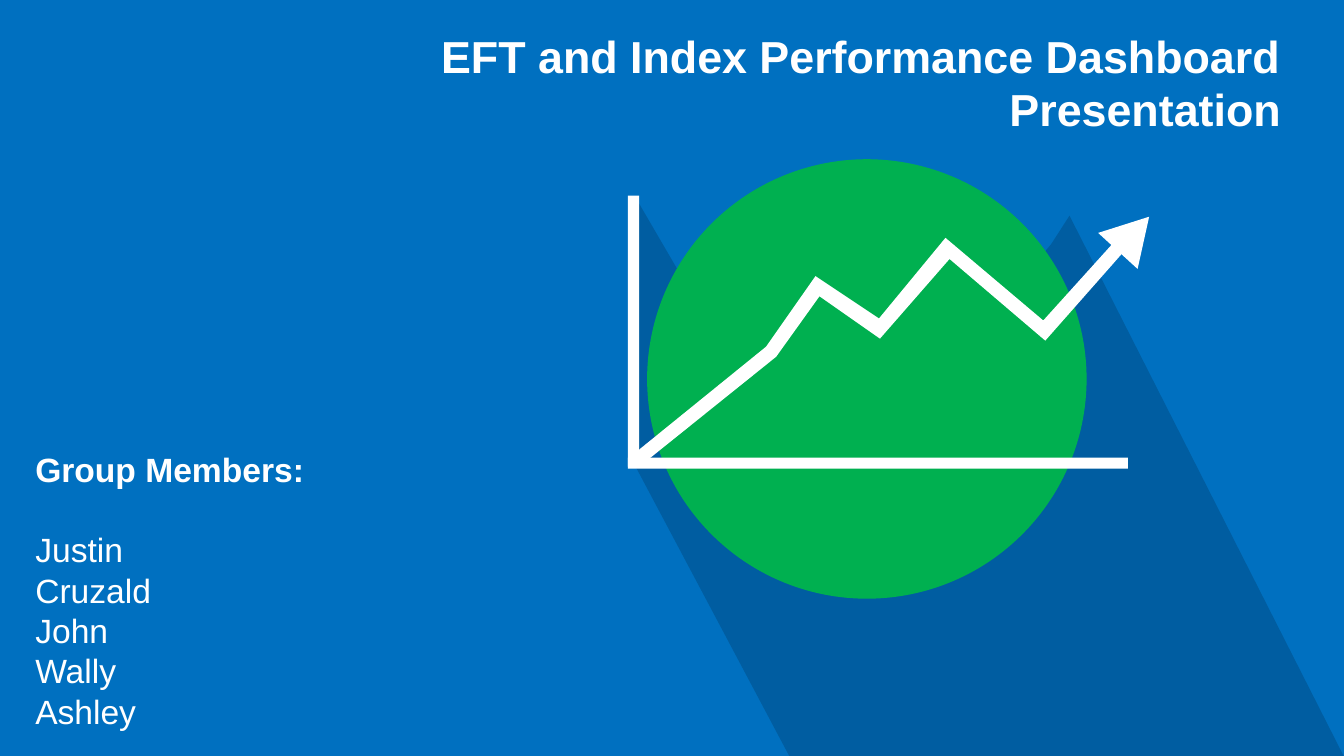
from lxml.etree import SubElement
from pptx import Presentation
from pptx.dml.color import RGBColor
from pptx.enum.shapes import MSO_SHAPE as Preset
from pptx.enum.text import MSO_ANCHOR as Anchor, MSO_AUTO_SIZE as AutoSize, PP_ALIGN as Align
from pptx.oxml.ns import qn
from pptx.util import Inches, Pt

BLUE, GREEN, WHITE, BLACK = "0070C0", "00B050", "FFFFFF", "000000"


def paint(shape, color):
    shape.shadow.inherit = False
    shape.fill.solid()
    shape.fill.fore_color.rgb = RGBColor.from_string(color)
    shape.line.fill.background()


def add_outline(shapes, points, color):
    """Draw a closed outline through points given in hundredths of an inch."""
    builder = shapes.build_freeform(*points[0], scale=Inches(0.01))
    builder.add_line_segments(points[1:], close=True)
    outline = builder.convert_to_shape()
    paint(outline, color)
    return outline


presentation = Presentation()
presentation.slide_width, presentation.slide_height = Inches(13.333), Inches(7.5)
slide = presentation.slides.add_slide(presentation.slide_layouts[1])
slide.background.fill.solid()
slide.background.fill.fore_color.rgb = RGBColor.from_string(BLUE)

# Title and group members
title, members = slide.shapes.title, slide.placeholders[1]
texts = [
    (title, (3.5, 0.23, 9.31, 1.18), 32, Align.RIGHT,
     ["EFT and Index Performance Dashboard", "Presentation"]),
    (members, (0.25, 4.4, 5.5, 2.93), 24, Align.LEFT,
     ["Group Members:", "Justin", "Cruzald", "John", "Wally", "Ashley"]),
]
for placeholder, box, size, align, lines in texts:
    placeholder.left, placeholder.top, placeholder.width, placeholder.height = map(Inches, box)
    frame = placeholder.text_frame
    frame.text = "\n".join(lines)
    frame.word_wrap = True
    frame.auto_size = AutoSize.NONE
    frame.vertical_anchor = Anchor.TOP
    for paragraph in frame.paragraphs:
        paragraph.alignment = align
        paragraph.line_spacing = 1.0
        paragraph.space_before = Pt(0)
        paragraph.font.name = "Arial"
        paragraph.font.size = Pt(size)
        paragraph.font.bold = placeholder is title
        paragraph.font.color.rgb = RGBColor.from_string(WHITE)

# Bold heading with a line's gap below it, and no bullets
heading = members.text_frame.paragraphs[0]
heading.font.bold = True
heading.space_after = Pt(28.8)
for paragraph in members.text_frame.paragraphs:
    properties = paragraph._p.get_or_add_pPr()
    properties.set("marL", "0")
    properties.set("indent", "0")
    SubElement(properties, qn("a:buNone"))

# Long shadow that lets the background through
shadow = add_outline(slide.shapes, [
    (630, 195), (629, 460), (783, 750), (1333, 750),
    (1061, 214), (1043, 242), (1002, 291), (711, 334)], BLACK)
shadow_color = shadow.fill._xPr.find(".//" + qn("a:srgbClr"))
SubElement(shadow_color, qn("a:alpha"), val="16000")

# Chart icon: circle, two axes, arrowhead and trend line
icon = slide.shapes.add_group_shape()
icon_parts = [
    (Preset.OVAL, (6.42, 1.58, 4.36, 4.36), GREEN, 0),
    (Preset.RECTANGLE, (6.23, 1.94, 0.11, 2.69), WHITE, 0),
    (Preset.RECTANGLE, (6.23, 4.54, 4.96, 0.11), WHITE, 0),
    (Preset.ISOSCELES_TRIANGLE, (10.98, 2.09, 0.53, 0.46), WHITE, 42.4),
]
for preset, box, color, rotation in icon_parts:
    part = icon.shapes.add_shape(preset, *map(Inches, box))
    part.rotation = rotation
    paint(part, color)
add_outline(icon.shapes, [
    (628, 451), (760, 344), (809, 274), (872, 316), (938, 236), (1035, 318), (1109, 236),
    (1119, 245), (1037, 338), (942, 257), (873, 336), (813, 294), (770, 354), (638, 460)], WHITE)

presentation.save("out.pptx")
